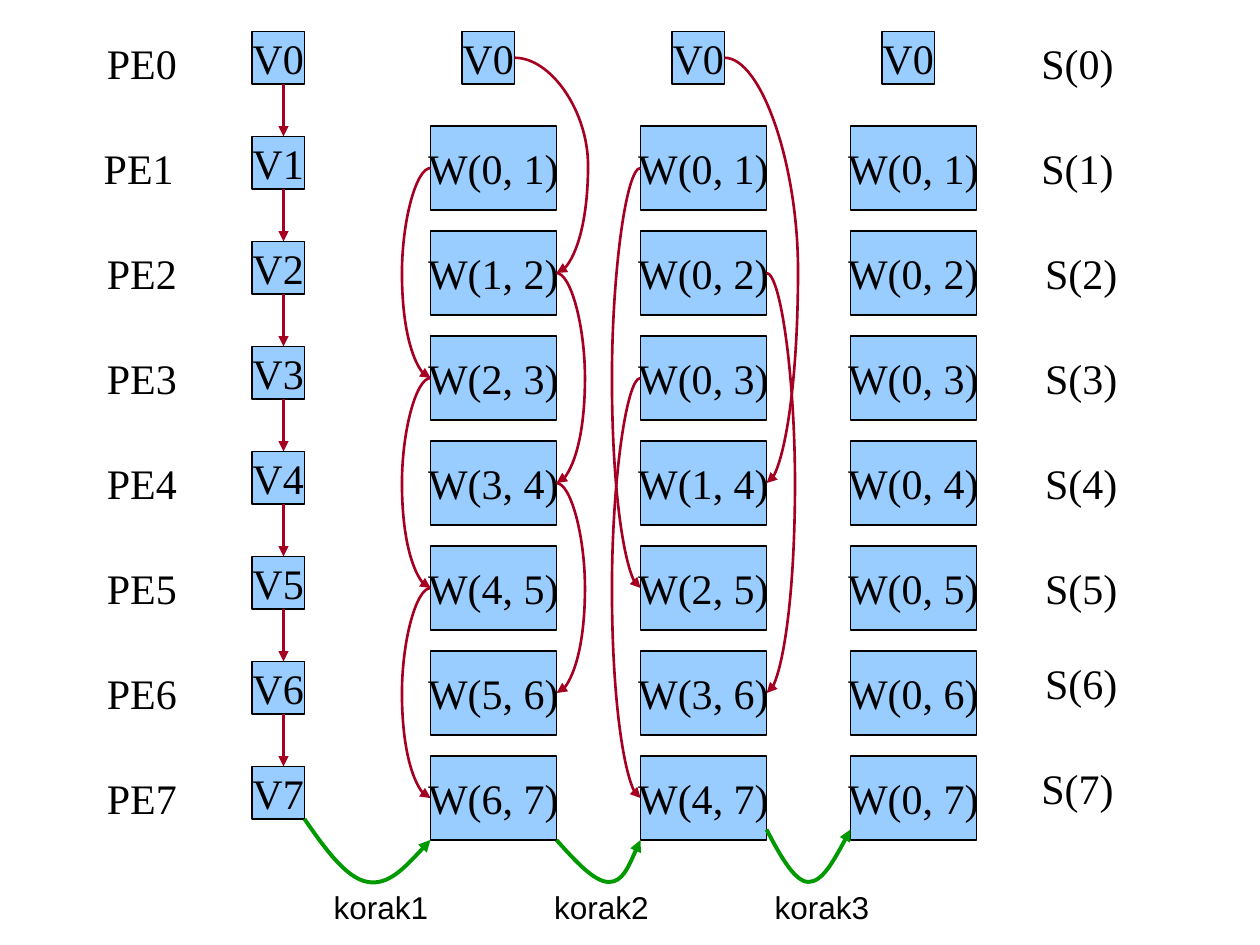
from dataclasses import dataclass

import lxml.etree
import pptx
import pptx.dml.color
import pptx.enum.shapes
import pptx.enum.text
import pptx.oxml.ns
import pptx.util

# The slide is a grid of 120 columns by 90 rows, 12 to the inch
COLUMNS, ROWS = 120, 90
CELL = pptx.util.Inches(10) // COLUMNS
PITCH = 10  # rows from one processing element to the next
COUNT = 8
THIN = pptx.util.Emu(1588)  # width of a curve whose ends share a column
TOP, LEFT, BOTTOM, RIGHT = range(4)
SERIF, SANS = "Times New Roman", "Arial"
BLUE, BLACK, RED, GREEN = "99CCFF", "000000", "A50021", "009900"

qn = pptx.oxml.ns.qn
Shapes = pptx.enum.shapes.MSO_SHAPE
Connectors = pptx.enum.shapes.MSO_CONNECTOR
Anchor = pptx.enum.text.MSO_ANCHOR
Align = pptx.enum.text.PP_ALIGN


@dataclass
class Area:
    left: float
    top: float
    width: float
    height: float

    def lengths(self) -> list[int]:
        return [grid(n) for n in (self.left, self.top, self.width, self.height)]


@dataclass
class Bow:
    """A curved arrow between the same sides of two boxes in one column."""
    column: int
    start: int
    end: int
    side: int


@dataclass
class Step:
    """A curved green arrow to the next column, as Bezier points, and its name."""
    name: str
    points: list[tuple[float, float]]


def grid(cells: float) -> int:
    return round(cells * CELL)


def colour(value: str) -> pptx.dml.color.RGBColor:
    return pptx.dml.color.RGBColor.from_string(value)


def write(shape, text: str, size: int, font: str, anchor, align) -> None:
    frame = shape.text_frame
    frame.text = text
    frame.word_wrap = False
    frame.vertical_anchor = anchor
    para = frame.paragraphs[0]
    para.alignment = align
    span = para.runs[0]
    span.font.size = pptx.util.Pt(size)
    span.font.name = font
    span.font.color.rgb = colour(BLACK)


def add_box(page, area: Area, text: str):
    box = page.shapes.add_shape(Shapes.RECTANGLE, *area.lengths())
    box.shadow.inherit = False
    box.fill.solid()
    box.fill.fore_color.rgb = colour(BLUE)
    box.line.color.rgb = colour(BLACK)
    box.line.width = pptx.util.Pt(0.75)
    write(box, text, 24, SERIF, Anchor.MIDDLE, Align.CENTER)
    return box


def add_label(page, area: Area, text: str, size: int = 24, font: str = SERIF,
              anchor=Anchor.TOP) -> None:
    label = page.shapes.add_textbox(*area.lengths())
    write(label, text, size, font, anchor, Align.LEFT)
    label.text_frame.auto_size = pptx.enum.text.MSO_AUTO_SIZE.SHAPE_TO_FIT_TEXT


def style_arrow(arrow, value: str, points: float) -> None:
    arrow.line.color.rgb = colour(value)
    arrow.line.width = pptx.util.Pt(points)
    outline = arrow._element.spPr.find(qn("a:ln"))
    lxml.etree.SubElement(outline, qn("a:tailEnd"), type="triangle")


def add_arrow(page, kind, start: tuple, end: tuple):
    ends = [grid(n) for n in (*start, *end)]
    arrow = page.shapes.add_connector(kind, *ends)
    style_arrow(arrow, RED, 1.5)
    lxml.etree.SubElement(arrow._element.spPr, qn("a:effectLst"))
    return arrow


def add_bow(page, start_box, end_box, side: int) -> None:
    arrow = add_arrow(page, Connectors.CURVE, (0, 0), (1, 1))
    # Moving the end first keeps the start above and left of it
    arrow.end_connect(end_box, side)
    arrow.begin_connect(start_box, side)
    arrow.width = max(arrow.width, THIN)
    properties = arrow._element.spPr
    # A left bow is turned half round and flipped both ways; a right bow is plain
    turned = side == LEFT
    arrow_frame = properties.find(qn("a:xfrm"))
    arrow_frame.set("rot", "10800000" if turned else "0")
    for flip in ("flipH", "flipV"):
        arrow_frame.set(flip, "1" if turned else "0")
    outer = end_box.left + end_box.width + grid(3)
    reach = -grid(3) if turned else outer - arrow.left
    share = round(reach / arrow.width * 100000)
    guides = properties.find(qn("a:prstGeom")).find(qn("a:avLst"))
    lxml.etree.SubElement(guides, qn("a:gd"), name="adj1", fmla=f"val {share}")


def add_step(page, step: Step) -> None:
    points = [(grid(x), grid(y)) for x, y in step.points]
    builder = page.shapes.build_freeform(*points[0])
    builder.add_line_segments(points[1:], close=False)
    curve = builder.convert_to_shape()
    curve.shadow.inherit = False
    curve.fill.background()
    style_arrow(curve, GREEN, 2.25)
    # Turn each run of three line segments into one Bezier segment
    lines = list(curve._element.iter(qn("a:lnTo")))
    outline = lines[0].getparent()
    for first in range(0, len(lines), 3):
        bezier = lxml.etree.SubElement(outline, qn("a:cubicBezTo"))
        for line in lines[first:first + 3]:
            bezier.append(line[0])
            outline.remove(line)


BOWS = [
    *(Bow(0, n, n + 2, RIGHT) for n in (0, 2, 4)),
    *(Bow(0, n, n + 2, LEFT) for n in (1, 3, 5)),
    *(Bow(1, n, n + 4, RIGHT) for n in (0, 2)),
    *(Bow(1, n, n + 4, LEFT) for n in (1, 3)),
]

STEPS = [
    Step("korak1", [(29, 78), (31, 80.9), (33, 83.64), (35, 84),
                    (37, 84.36), (39, 82.2), (41, 80)]),
    Step("korak2", [(53, 80), (54.8, 82), (56.6, 84), (58, 84),
                    (59.3, 84), (60.1, 82), (61, 80)]),
    Step("korak3", [(73, 79), (74.3, 81.5), (75.7, 84), (77, 84),
                    (78.3, 84), (79.7, 81.5), (81, 79)]),
]


def main() -> None:
    deck = pptx.Presentation()
    deck.slide_width, deck.slide_height = grid(COLUMNS), grid(ROWS)
    page = deck.slides.add_slide(deck.slide_layouts[6])

    # Input values and the labels at both edges
    for n in range(COUNT):
        top = 3 + PITCH * n
        add_box(page, Area(24, top, 5, 5), f"V{n}")
        add_label(page, Area(8.7 if n == 1 else 9, top, 9.1, 6), f"PE{n}")
        add_label(page, Area(98 if n in (0, 1, 7) else 98.35,
                             top - (n >= 6), 9.4, 6), f"S({n})")

    # Partial results after each step, each covering twice as many values
    columns = []
    for column in range(3):
        left = 41 + 20 * column
        boxes = [add_box(page, Area(left + 3, 3, 5, 5), "V0")]
        for n in range(1, COUNT):
            first = max(0, n + 1 - 2 ** (column + 1))
            area = Area(left, 2 + PITCH * n, 12, 8)
            boxes.append(add_box(page, area, f"W({first}, {n})"))
        columns.append(boxes)

    # Red arrows: data passed between elements
    for n in range(COUNT - 1):
        add_arrow(page, Connectors.STRAIGHT,
                  (27, 8 + PITCH * n), (27, 13 + PITCH * n))
    for bow in BOWS:
        boxes = columns[bow.column]
        add_bow(page, boxes[bow.start], boxes[bow.end], bow.side)

    # Green arrows: the steps
    for n, step in enumerate(STEPS):
        add_step(page, step)
        add_label(page, Area(30.6 + 21 * n, 84, 11.4, 4.8), step.name,
                  18, SANS, Anchor.BOTTOM)

    deck.save("out.pptx")


if __name__ == "__main__":
    main()
